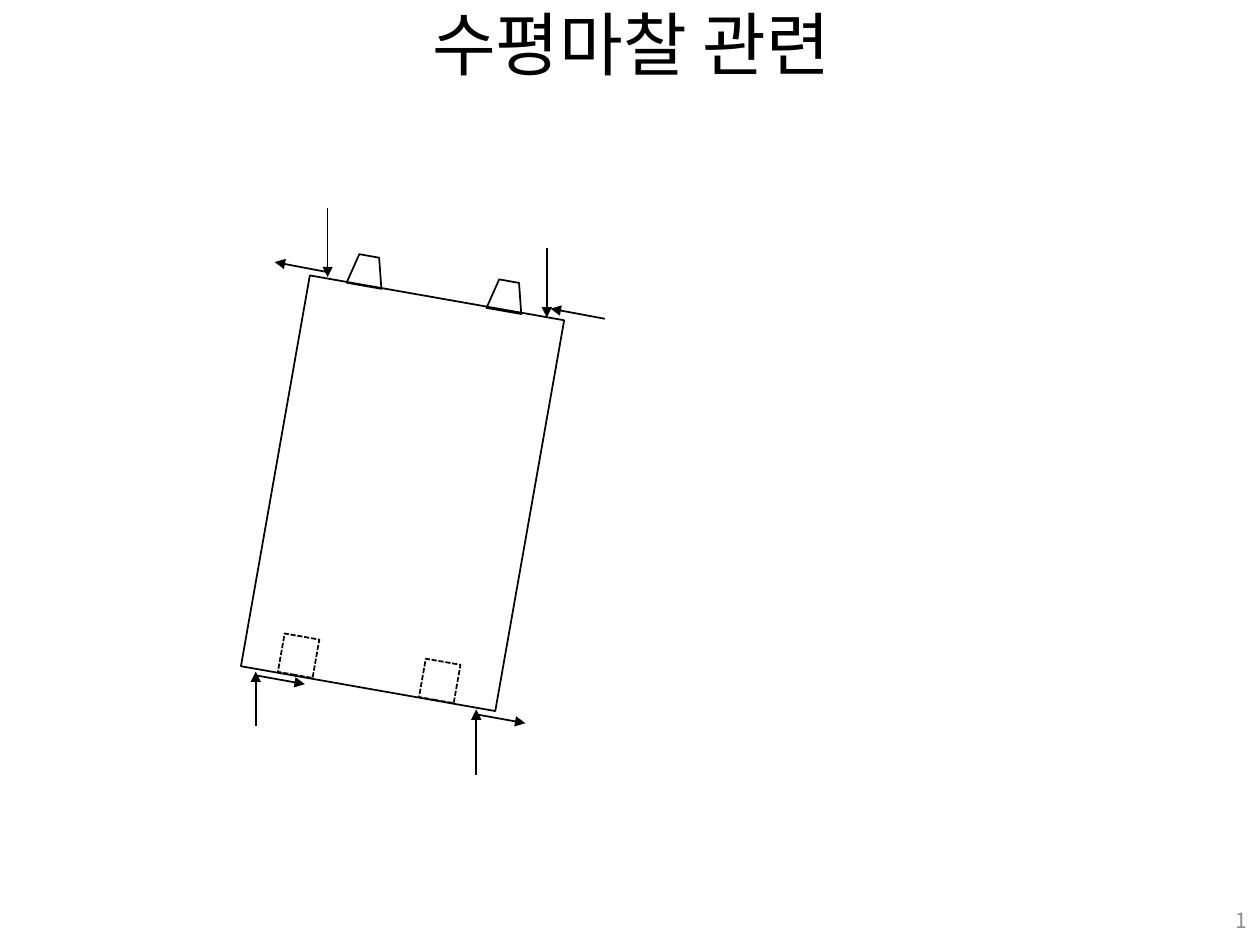
from dataclasses import dataclass

from lxml import etree
from pptx import Presentation
from pptx.dml.color import RGBColor as Rgb
from pptx.enum.dml import MSO_LINE as Dash
from pptx.enum.shapes import MSO_CONNECTOR as Link, MSO_SHAPE as Kind
from pptx.enum.text import MSO_ANCHOR as Anchor, PP_ALIGN as Align
from pptx.oxml.ns import qn
from pptx.util import Inches, Pt

COLORS = {"ink": "000000", "gray": "8C8C8C"}
FONT = "Noto Sans CJK KR"
TILT = 10


@dataclass
class Part:
    kind: Kind
    left: float
    top: float
    width: float
    height: float
    dashed: bool = False


@dataclass
class Force:
    x: float
    y: float
    dx: float
    dy: float


def color(name: str) -> Rgb:
    return Rgb.from_string(COLORS[name])


def write(slide, text: str, *, box: tuple, size: float, ink: str, align: Align) -> None:
    frame = slide.shapes.add_textbox(*map(Inches, box)).text_frame
    frame.word_wrap = True
    frame.vertical_anchor = Anchor.MIDDLE
    par = frame.paragraphs[0]
    par.alignment = align
    run = par.add_run()
    run.text = text
    font = run.font
    font.name, font.size = FONT, Pt(size)
    font.color.rgb = color(ink)
    etree.SubElement(font._element, qn("a:ea"), typeface=FONT)


def stroke(line) -> None:
    line.color.rgb = color("ink")
    line.width = Pt(1)


def draw(slide, part: Part) -> None:
    box = (part.left, part.top, part.width, part.height)
    shape = slide.shapes.add_shape(part.kind, *map(Inches, box))
    shape.rotation = TILT
    shape.shadow.inherit = False
    shape.fill.background()
    stroke(shape.line)
    if part.dashed:
        shape.line.dash_style = Dash.SQUARE_DOT


def push(slide, force: Force) -> None:
    ends = (force.x, force.y, force.x + force.dx, force.y + force.dy)
    arrow = slide.shapes.add_connector(Link.STRAIGHT, *map(Inches, ends))
    stroke(arrow.line)
    etree.SubElement(arrow.line._get_or_add_ln(), qn("a:tailEnd"), type="triangle")
    etree.SubElement(arrow._element.spPr, qn("a:effectLst"))


# Tilted block with two slots below and two studs on top
PARTS = [
    Part(Kind.RECTANGLE, 2.17, 2.34, 2.05, 3.15),
    *(Part(Kind.RECTANGLE, x, y, 0.28, 0.31, dashed=True)
      for x, y in ((2.23, 5.05), (3.35, 5.25))),
    *(Part(Kind.TRAPEZOID, x, y, 0.28, 0.24)
      for x, y in ((2.77, 2.03), (3.88, 2.23))),
]

# Each force runs from its start toward the arrowhead
FORCES = [
    # Vertical loads and supports
    Force(2.6, 1.65, 0, 0.55),
    Force(4.34, 1.97, 0, 0.55),
    Force(2.03, 5.76, 0, -0.43),
    Force(3.78, 6.15, 0, -0.52),
    # Friction along the faces
    Force(3.78, 5.67, 0.39, 0.07),
    Force(2.03, 5.36, 0.39, 0.07),
    Force(4.8, 2.53, -0.43, -0.08),
    Force(2.6, 2.16, -0.42, -0.08),
]


def main() -> None:
    deck = Presentation()
    deck.slide_width, deck.slide_height = Inches(10), Inches(7.5)
    slide = deck.slides.add_slide(deck.slide_layouts[6])

    # Title and page number
    write(slide, "수평마찰 관련", box=(0.51, 0, 9, 0.68), size=39.6,
          ink="ink", align=Align.CENTER)
    write(slide, "1", box=(7.67, 7.1, 2.33, 0.4), size=12,
          ink="gray", align=Align.RIGHT)

    # Diagram
    for part in PARTS:
        draw(slide, part)
    for force in FORCES:
        push(slide, force)

    deck.save("out.pptx")


if __name__ == "__main__":
    main()
